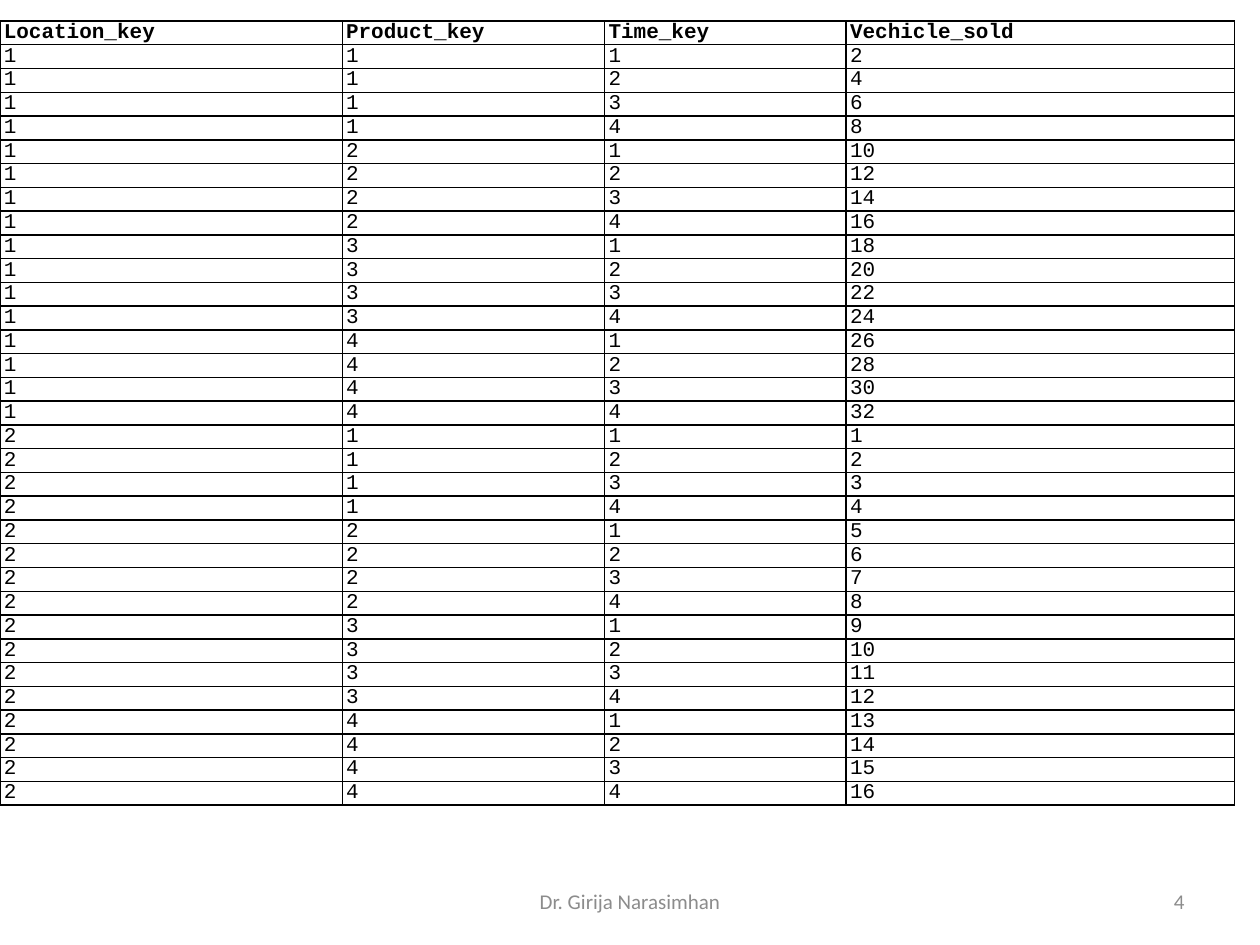
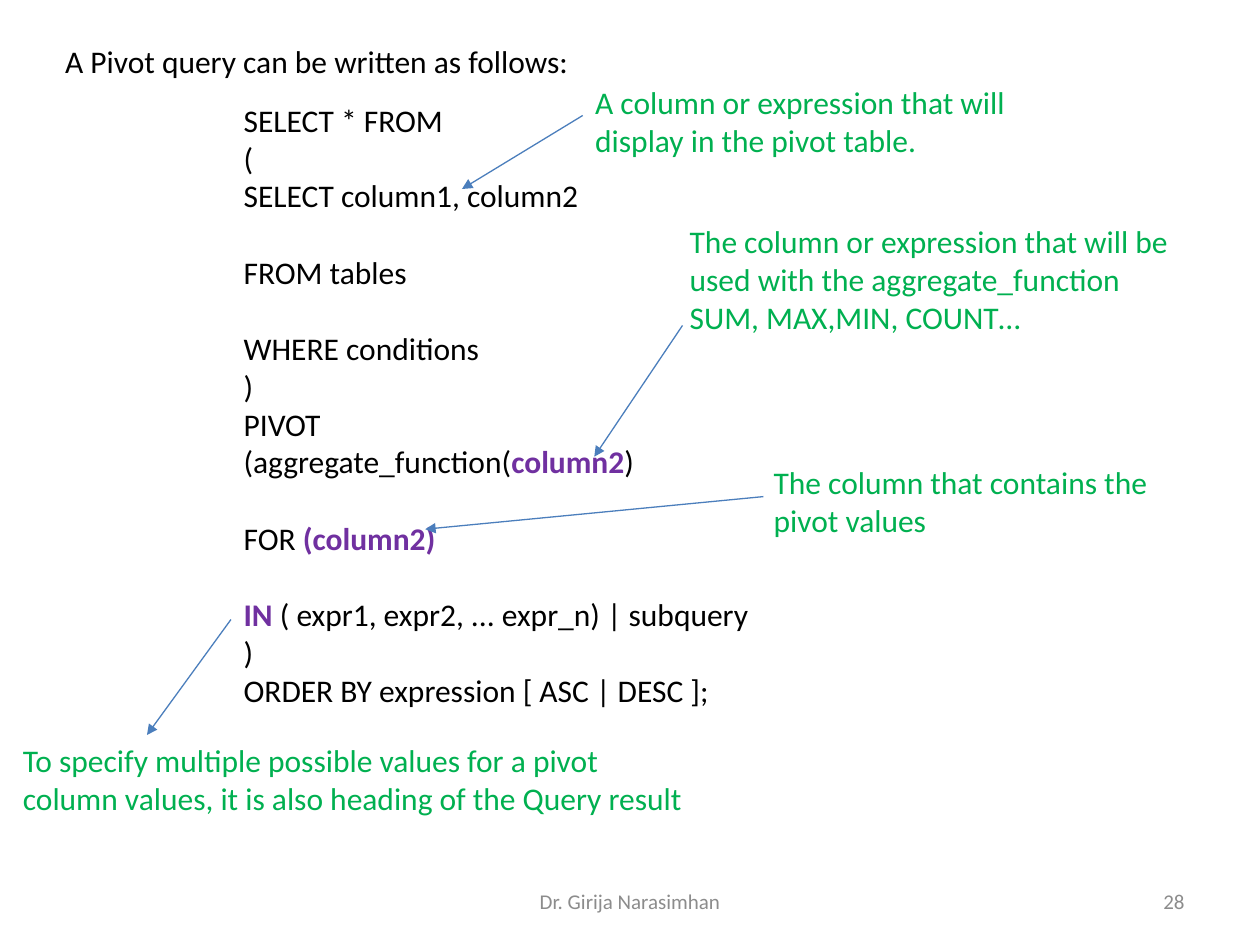
import itertools

import pptx
import pptx.dml.color
import pptx.enum.shapes
import pptx.enum.text
import pptx.oxml
import pptx.oxml.ns
import pptx.util

COLUMNS, ROWS = 120, 90
WIDTH, HEIGHT = pptx.util.Inches(10), pptx.util.Inches(7.5)
COLORS = {
    "text": "000000",
    "footer": "8C8C8C",
    "note": "00B050",
    "keyword": "7030A0",
    "arrow": "4B7EBC",
    "border": "000000",
}
PRESENTER = "Dr. Girija Narasimhan"
ALIGN = pptx.enum.text.PP_ALIGN
ANCHOR = pptx.enum.text.MSO_ANCHOR
LINE_PITCH = 22

SALES_HEADINGS = ["Location_key", "Product_key", "Time_key", "Vechicle_sold"]
SALES_COLUMNS = [32.6, 25, 23, 37]
SALES_ROW = 2.16
SOLD_STEP = {1: 2, 2: 1}

QUERY = [
    (["SELECT * FROM"], 0),
    (["("], 0),
    (["SELECT column1, column2"], 0),
    (["FROM tables"], 1),
    (["WHERE conditions"], 1),
    ([")"], 0),
    (["PIVOT"], 0),
    (["(aggregate_function(", "column2", ")"], 0),
    (["FOR ", "(column2)"], 1),
    (["IN", " ( expr1, expr2, ... expr_n) | subquery"], 1),
    ([")"], 0),
    (["ORDER BY expression [ ASC | DESC ];"], 0),
]
KEYWORDS = {"column2", "(column2)", "IN"}
NOTES = [
    ("To specify multiple possible values for a pivot column values, "
     "it is also heading of the Query result", (1, 70, 66, 8.5)),
    ("The column that contains the pivot values", (72.5, 43.5, 43, 8.5)),
    ("The column or expression that will be used with the aggregate_function "
     "SUM, MAX,MIN, COUNT…", (64.5, 20.6, 48.5, 12.1)),
    ("A column or expression that will display in the pivot table.",
     (55.5, 7.3, 48.6, 8.5)),
]
ARROWS = [
    ((22, 59), (14, 70)),
    ((72.7, 47.3), (40.5, 50.4)),
    ((65, 31), (56.6, 43.5)),
    ((55.5, 11), (44, 18)),
]


def across(columns):
    return round(WIDTH * columns / COLUMNS)


def down(rows):
    return round(HEIGHT * rows / ROWS)


def area(left, top, width, height):
    return across(left), down(top), across(width), down(height)


def style(run, color, size=18, face="Calibri", bold=False):
    run.font.name = face
    run.font.size = pptx.util.Pt(size)
    run.font.bold = bold
    run.font.color.rgb = pptx.dml.color.RGBColor.from_string(COLORS[color])


def write(frame, words, color, size=18, align=ALIGN.LEFT, anchor=ANCHOR.TOP):
    frame.text = words
    frame.word_wrap = True
    frame.auto_size = pptx.enum.text.MSO_AUTO_SIZE.NONE
    frame.vertical_anchor = anchor
    line = frame.paragraphs[0]
    line.alignment = align
    style(line.runs[0], color, size)


def add_label(slide, words, place, color, **layout):
    write(slide.shapes.add_textbox(*area(*place)).text_frame, words, color, **layout)


def add_footer(slide, number):
    for words, place, align in (
        (PRESENTER, (41, 83.4, 38, 4.8), ALIGN.CENTER),
        (str(number), (86, 83.4, 28, 4.8), ALIGN.RIGHT),
    ):
        add_label(slide, words, place, "footer", size=12, align=align,
                  anchor=ANCHOR.MIDDLE)


def place_in(placeholder, place):
    (placeholder.left, placeholder.top,
     placeholder.width, placeholder.height) = area(*place)


def add_borders(cell):
    properties = cell._tc.get_or_add_tcPr()
    for position, side in enumerate("LRTB"):
        properties.insert(position, pptx.oxml.parse_xml(
            f'<a:ln{side} {pptx.oxml.ns.nsdecls("a")} w="12700"><a:solidFill>'
            f'<a:srgbClr val="{COLORS["border"]}"/></a:solidFill></a:ln{side}>'))


def fill_cell(cell, value, bold):
    cell.fill.background()
    cell.margin_left = cell.margin_right = pptx.util.Inches(0.03)
    cell.margin_top = cell.margin_bottom = 0
    cell.text_frame.text = str(value)
    line = cell.text_frame.paragraphs[0]
    line.alignment = ALIGN.JUSTIFY
    style(line.runs[0], "text", 12, "Courier New", bold)
    add_borders(cell)


def sales_records():
    for location in SOLD_STEP:
        quarters = itertools.product(range(1, 5), repeat=2)
        for count, (product, time) in enumerate(quarters, 1):
            yield [location, product, time, count * SOLD_STEP[location]]


def add_sales_table(slide):
    records = [SALES_HEADINGS, *sales_records()]
    place = area(0, 2, sum(SALES_COLUMNS), SALES_ROW * len(records))
    sales = slide.shapes.add_table(len(records), len(SALES_HEADINGS), *place).table
    sales.first_row = sales.horz_banding = False
    for column, width in zip(sales.columns, SALES_COLUMNS):
        column.width = across(width)
    for index, record in enumerate(records):
        sales.rows[index].height = down(SALES_ROW)
        for position, value in enumerate(record):
            fill_cell(sales.cell(index, position), value, index == 0)


def write_query(body):
    place_in(body, (22, 9, 60, 59.4))
    frame = body.text_frame
    frame.word_wrap = True
    frame.auto_size = pptx.enum.text.MSO_AUTO_SIZE.NONE
    for index, (parts, gap) in enumerate(QUERY):
        line = frame.add_paragraph() if index else frame.paragraphs[0]
        line.space_before = pptx.util.Pt(gap * LINE_PITCH)
        line.space_after = pptx.util.Pt(0)
        properties = line._p.get_or_add_pPr()
        properties.set("marL", "0")
        properties.set("indent", "0")
        properties.append(pptx.oxml.parse_xml(
            f'<a:buNone {pptx.oxml.ns.nsdecls("a")}/>'))
        for part in parts:
            run = line.add_run()
            run.text = part
            keyword = part in KEYWORDS
            style(run, "keyword" if keyword else "text", bold=keyword)


def add_arrow(slide, start, end):
    arrow = slide.shapes.add_connector(
        pptx.enum.shapes.MSO_CONNECTOR.STRAIGHT,
        across(start[0]), down(start[1]), across(end[0]), down(end[1]))
    arrow.line.width = pptx.util.Pt(0.75)
    arrow.line.color.rgb = pptx.dml.color.RGBColor.from_string(COLORS["arrow"])
    namespace = pptx.oxml.ns.nsdecls("a")
    arrow.line._get_or_add_ln().append(
        pptx.oxml.parse_xml(f'<a:tailEnd {namespace} type="triangle"/>'))
    arrow._element.spPr.append(pptx.oxml.parse_xml(f"<a:effectLst {namespace}/>"))


def build_sales_slide(deck):
    slide = deck.slides.add_slide(deck.slide_layouts[6])
    add_footer(slide, 4)
    add_sales_table(slide)


def build_query_slide(deck):
    slide = deck.slides.add_slide(deck.slide_layouts[1])
    add_footer(slide, 28)
    heading = slide.shapes.title
    place_in(heading, (5, 3.4, 51.7, 4.8))
    write(heading.text_frame, "A Pivot query can be written as follows:", "text")
    write_query(slide.placeholders[1])
    for words, place in NOTES:
        add_label(slide, words, place, "note")
    for start, end in ARROWS:
        add_arrow(slide, start, end)


def main():
    deck = pptx.Presentation()
    deck.slide_width, deck.slide_height = WIDTH, HEIGHT
    build_sales_slide(deck)
    build_query_slide(deck)
    deck.save("out.pptx")


if __name__ == "__main__":
    main()
